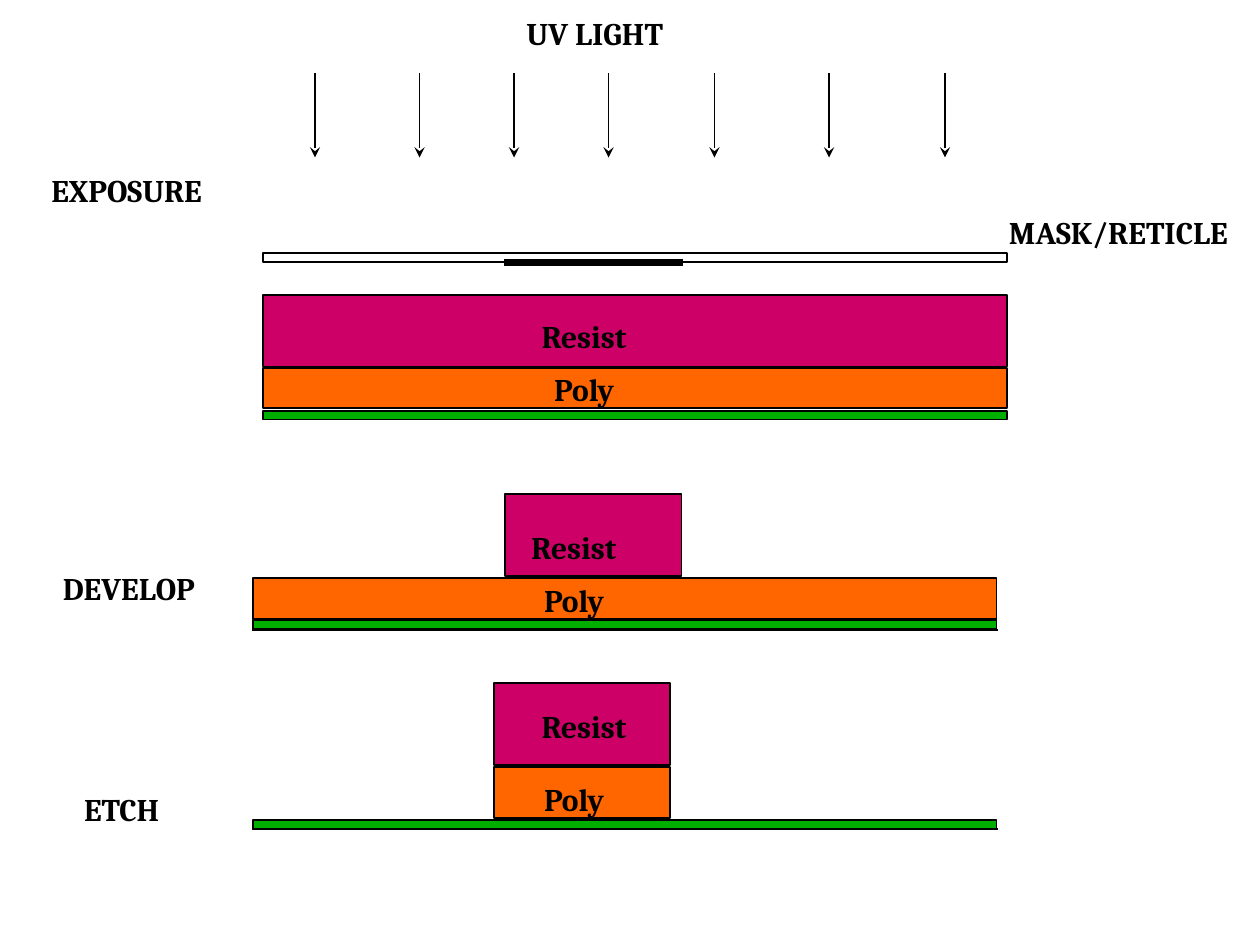
import pptx
import pptx.dml.color
import pptx.enum.shapes
import pptx.enum.text
import pptx.oxml
import pptx.oxml.ns
import pptx.util

Inches = pptx.util.Inches
COLOURS = {"ink": "000000", "glass": "FFFFFF", "resist": "CC0066",
           "poly": "FF6600", "oxide": "00AE00"}
FONT = {"name": "Cambria", "size": pptx.util.Pt(18), "bold": True}
WAFER_WIDTH, FEATURE_WIDTH = 5.9, 1.4
LABEL_HEIGHT = 0.4

# Material, left, top, width, height
LAYERS = [
    ("glass", 2.09, 2.01, WAFER_WIDTH, 0.07),
    ("oxide", 2.09, 3.26, WAFER_WIDTH, 0.07),
    ("resist", 2.09, 2.34, WAFER_WIDTH, 0.57),
    ("poly", 2.09, 2.92, WAFER_WIDTH, 0.32),
    ("oxide", 2.01, 4.92, WAFER_WIDTH, 0.07),
    ("resist", 4.01, 3.92, FEATURE_WIDTH, 0.65),
    ("poly", 2.01, 4.59, WAFER_WIDTH, 0.32),
    ("oxide", 2.01, 6.51, WAFER_WIDTH, 0.07),
    ("poly", 3.92, 6.09, FEATURE_WIDTH, 0.4),
    ("resist", 3.92, 5.42, FEATURE_WIDTH, 0.65),
]
# Text, left, top, width
LABELS = [
    ("UV LIGHT", 4.08, 0.06, 1.45),
    ("EXPOSURE", 0.31, 1.31, 1.58),
    ("MASK/RETICLE", 7.91, 1.64, 2.13),
    ("Resist", 4.2, 2.47, 0.96),
    ("Poly", 4.3, 2.89, 0.75),
    ("DEVELOP", 0.4, 4.47, 1.41),
    ("Resist", 4.12, 4.14, 0.96),
    ("Poly", 4.22, 4.56, 0.75),
    ("ETCH", 0.57, 6.22, 0.9),
    ("Resist", 4.2, 5.56, 0.96),
    ("Poly", 4.22, 6.14, 0.75),
]
RAY_POSITIONS = [2.5, 3.33, 4.08, 4.83, 5.67, 6.58, 7.5]
RAY_TOP, RAY_BOTTOM = 0.58, 1.25
BASELINES = [5, 6.58]
BASELINE_LEFT, BASELINE_RIGHT = 2, 7.92
CHROME = (4, 2.08, 5.42, 2.08)


def colour(name):
    return pptx.dml.color.RGBColor.from_string(COLOURS[name])


def add_layer(slide, material, *bounds):
    layer = slide.shapes.add_shape(pptx.enum.shapes.MSO_SHAPE.RECTANGLE,
                                   *map(Inches, bounds))
    layer.shadow.inherit = False
    layer.fill.solid()
    layer.fill.fore_color.rgb = colour(material)
    layer.line.color.rgb = colour("ink")
    layer.line.width = pptx.util.Pt(1)


def add_line(slide, *ends, width=1, arrow=False):
    line = slide.shapes.add_connector(pptx.enum.shapes.MSO_CONNECTOR.STRAIGHT,
                                      *map(Inches, ends))
    line.line.color.rgb = colour("ink")
    line.line.width = pptx.util.Pt(width)
    if arrow:
        head = pptx.oxml.parse_xml(
            f'<a:tailEnd {pptx.oxml.ns.nsdecls("a")} type="stealth"/>')
        line.line._get_or_add_ln().append(head)
    properties = line._element.spPr
    properties.append(pptx.oxml.parse_xml(
        f'<a:effectLst {pptx.oxml.ns.nsdecls("a")}/>'))


def add_label(slide, text, left, top, width):
    box = slide.shapes.add_textbox(*map(Inches, (left, top, width, LABEL_HEIGHT)))
    frame = box.text_frame
    frame.word_wrap = False
    frame.auto_size = pptx.enum.text.MSO_AUTO_SIZE.SHAPE_TO_FIT_TEXT
    span = frame.paragraphs[0].add_run()
    span.text = text
    for attribute, value in FONT.items():
        setattr(span.font, attribute, value)
    span.font.color.rgb = colour("ink")


def main():
    deck = pptx.Presentation()
    deck.slide_width, deck.slide_height = Inches(10), Inches(7.5)
    slide = deck.slides.add_slide(deck.slide_layouts.get_by_name("Blank"))
    for height in BASELINES:
        add_line(slide, BASELINE_LEFT, height, BASELINE_RIGHT, height)
    for layer in LAYERS:
        add_layer(slide, *layer)
    add_line(slide, *CHROME, width=4)
    for position in RAY_POSITIONS:
        add_line(slide, position, RAY_TOP, position, RAY_BOTTOM, arrow=True)
    for label in LABELS:
        add_label(slide, *label)
    deck.save("out.pptx")


if __name__ == "__main__":
    main()
